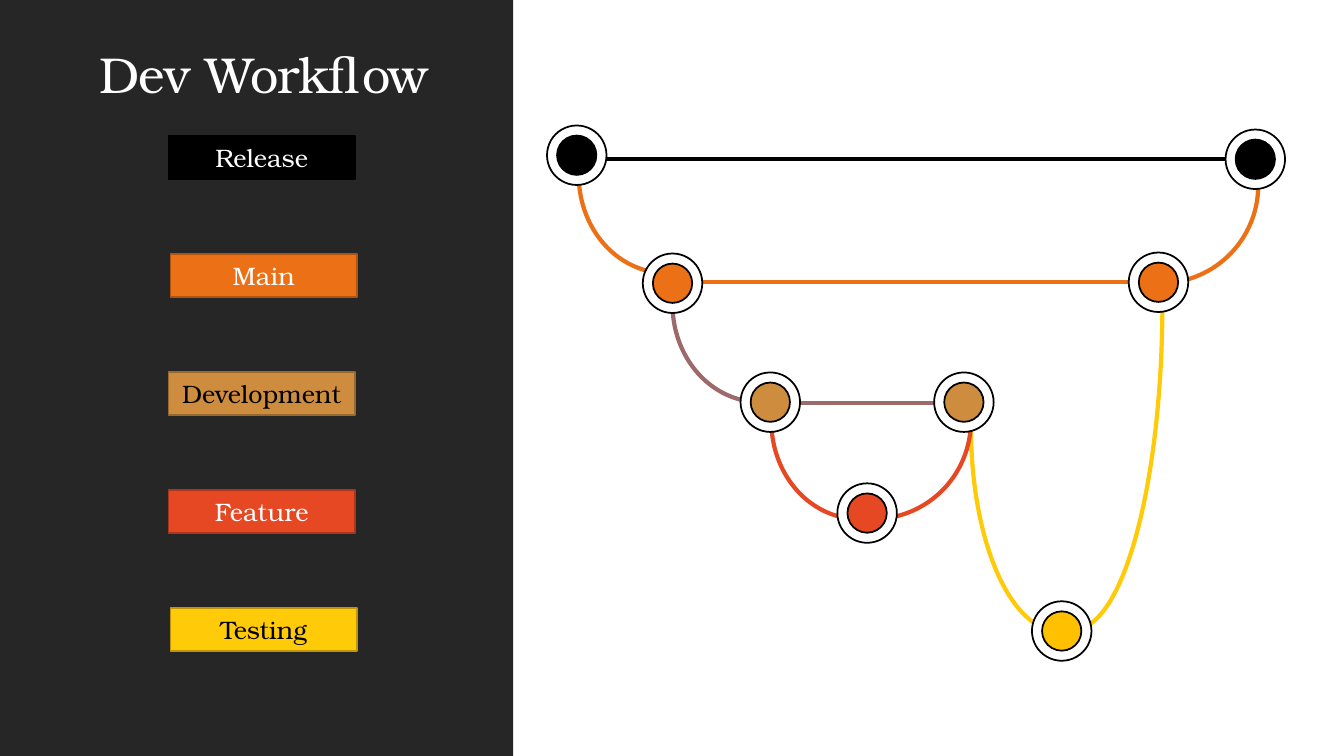
from lxml import etree
from pptx import Presentation
from pptx.dml.color import RGBColor
from pptx.enum.shapes import MSO_CONNECTOR, MSO_SHAPE
from pptx.enum.text import MSO_ANCHOR, PP_ALIGN
from pptx.oxml.ns import qn
from pptx.util import Inches, Pt

RECTANGLE, OVAL, ARC = MSO_SHAPE.RECTANGLE, MSO_SHAPE.OVAL, MSO_SHAPE.ARC
STRAIGHT = MSO_CONNECTOR.STRAIGHT
CENTER, MIDDLE, BOTTOM = PP_ALIGN.CENTER, MSO_ANCHOR.MIDDLE, MSO_ANCHOR.BOTTOM

FONT = "TeX Gyre Bonum"
WHITE = RGBColor(0xFF, 0xFF, 0xFF)
BLACK = RGBColor(0x00, 0x00, 0x00)
CHARCOAL = RGBColor(0x26, 0x26, 0x26)
ORANGE = RGBColor(0xEC, 0x70, 0x16)
DARK_ORANGE = RGBColor(0xAF, 0x53, 0x10)
TAN = RGBColor(0xCE, 0x8D, 0x3E)
DARK_TAN = RGBColor(0x98, 0x68, 0x2E)
RED = RGBColor(0xE6, 0x48, 0x23)
DARK_RED = RGBColor(0xAA, 0x35, 0x1A)
YELLOW = RGBColor(0xFF, 0xCA, 0x08)
DARK_YELLOW = RGBColor(0xBD, 0x95, 0x06)
AMBER = RGBColor(0xFF, 0xC0, 0x00)
MAUVE = RGBColor(0x9C, 0x6A, 0x6A)

TITLE = "Dev Workflow"
# name, left, fill, outline, text colour
BRANCHES = [
    ("Release", 1.67, BLACK, BLACK, WHITE),
    ("Main", 1.69, ORANGE, DARK_ORANGE, WHITE),
    ("Development", 1.67, TAN, DARK_TAN, BLACK),
    ("Feature", 1.67, RED, DARK_RED, WHITE),
    ("Testing", 1.69, YELLOW, DARK_YELLOW, BLACK),
]
# left, top, width, height of the whole ellipse, whether it rises to the right, colour
CURVES = [
    (5.74, 0.77, 1.74, 1.94, False, ORANGE),
    (10.54, 0.87, 1.94, 1.94, True, ORANGE),
    (9.79, -0.25, 1.74, 6.49, True, YELLOW),
    (9.63, 2.23, 1.74, 4.03, False, YELLOW),
    (7.69, 3.21, 1.94, 1.94, True, RED),
    (7.65, 3.21, 1.74, 1.94, False, RED),
    (6.67, 2.05, 1.74, 1.94, False, MAUVE),
]
# start x, end x, y, colour
TRACKS = [
    (7.74, 9.47, 4.0, MAUVE),
    (6.67, 11.49, 2.8, ORANGE),
    (5.92, 12.34, 1.58, BLACK),
]
# centre x, centre y, colour
COMMITS = [
    (6.67, 2.81, ORANGE),
    (7.64, 3.99, TAN),
    (8.6, 5.09, RED),
    (9.56, 3.99, TAN),
    (10.53, 6.26, AMBER),
    (11.49, 2.8, ORANGE),
    (12.45, 1.58, BLACK),
    (5.72, 1.54, BLACK),
]
LEGEND_TOP, LEGEND_PITCH = 1.35, 1.17
LABEL_WIDTH, LABEL_HEIGHT = 1.85, 0.43
RING, DOT = 0.59, 0.39


def add_shape(shapes, kind, box, fill=None, line=None, weight=1.25):
    shape = shapes.add_shape(kind, *map(Inches, box))
    shape.shadow.inherit = False
    if fill is None:
        shape.fill.background()
    else:
        shape.fill.solid()
        shape.fill.fore_color.rgb = fill
    if line is None:
        shape.line.fill.background()
    else:
        shape.line.color.rgb = line
        shape.line.width = Pt(weight)
    return shape


def set_text(shape, text, size, color, anchor):
    frame = shape.text_frame
    frame.text = text
    frame.word_wrap = True
    frame.vertical_anchor = anchor
    paragraph = frame.paragraphs[0]
    paragraph.alignment = CENTER
    font = paragraph.runs[0].font
    font.name, font.size, font.color.rgb = FONT, Pt(size), color
    return paragraph


def add_title(slide):
    title = slide.shapes.title
    title.left, title.top, title.width, title.height = map(Inches, (0.69, 0.24, 3.85, 0.85))
    paragraph = set_text(title, TITLE, 36, WHITE, BOTTOM)
    paragraph.line_spacing = 0.9
    paragraph.runs[0].font._element.set("spc", "-50")
    sidebar = add_shape(slide.shapes, RECTANGLE, (0, 0, 5.09, 7.5), CHARCOAL)
    title.element.addprevious(sidebar.element)


def add_legend(shapes):
    for row, (name, left, fill, outline, text_color) in enumerate(BRANCHES):
        box = (left, LEGEND_TOP + row * LEGEND_PITCH, LABEL_WIDTH, LABEL_HEIGHT)
        label = add_shape(shapes, RECTANGLE, box, fill, outline)
        set_text(label, name, 18, text_color, MIDDLE)


def add_curve(shapes, left, top, width, height, rises, color):
    """Draw the lower left quarter of an ellipse, or the lower right one if it rises."""
    curve = add_shape(shapes, ARC, (left, top, width, height), line=color, weight=3)
    curve.rotation = 180
    if rises:
        curve.element.spPr.get_or_add_xfrm().set("flipH", "1")


def add_track(shapes, start, end, y, color):
    track = shapes.add_connector(STRAIGHT, Inches(start), Inches(y), Inches(end), Inches(y))
    track.line.color.rgb = color
    track.line.width = Pt(3)
    etree.SubElement(track.element.spPr, qn("a:effectLst"))


def add_commit(shapes, x, y, color):
    commit = shapes.add_group_shape()
    for size, fill in ((RING, WHITE), (DOT, color)):
        box = (x - size / 2, y - size / 2, size, size)
        add_shape(commit.shapes, OVAL, box, fill, BLACK)


def main():
    deck = Presentation()
    deck.slide_width, deck.slide_height = Inches(13.33), Inches(7.5)
    slide = deck.slides.add_slide(deck.slide_layouts[5])
    add_title(slide)
    add_legend(slide.shapes)
    for curve in CURVES:
        add_curve(slide.shapes, *curve)
    for track in TRACKS:
        add_track(slide.shapes, *track)
    for commit in COMMITS:
        add_commit(slide.shapes, *commit)
    deck.save("out.pptx")


if __name__ == "__main__":
    main()
